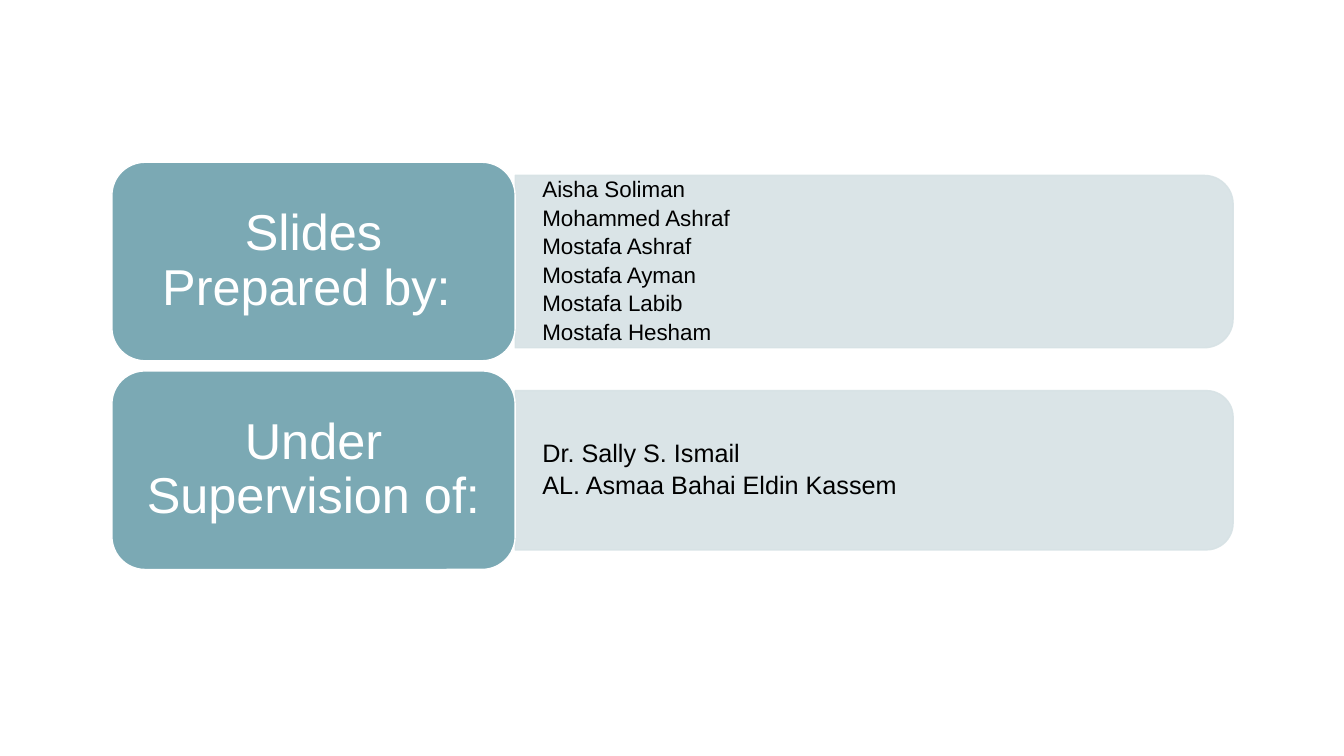
from lxml.etree import SubElement
from pptx import Presentation
from pptx.dml.color import RGBColor
from pptx.enum.shapes import MSO_SHAPE
from pptx.enum.text import MSO_ANCHOR, PP_ALIGN
from pptx.oxml.ns import qn
from pptx.util import Inches, Pt

COLORS = {"label": "7BA9B4", "panel": "D7E2E5", "white": "FFFFFF", "black": "000000"}

LABEL_LEFT, LABEL_TOP, LABEL_WIDTH, LABEL_HEIGHT = 1.11, 1.61, 4, 1.97
ROW_PITCH = 2.07
PANEL_LENGTH = 7.12
TEXT_WIDTH = 7.03

# Label, names, name size, panel height, text height
ROWS = [
    ("Slides Prepared by: ",
     ["Aisha Soliman", "Mohammed Ashraf", "Mostafa Ashraf",
      "Mostafa Ayman", "Mostafa Labib", "Mostafa Hesham"], 16, 1.71, 1.54),
    ("Under Supervision of:",
     ["Dr. Sally S. Ismail", "AL. Asmaa Bahai Eldin Kassem"], 18, 1.58, 1.42),
]


def write_text(shape, lines, size, color, align, margins, space_after=0):
    frame = shape.text_frame
    frame.word_wrap = True
    frame.vertical_anchor = MSO_ANCHOR.MIDDLE
    frame.margin_left = frame.margin_right = Inches(margins[0])
    frame.margin_top = frame.margin_bottom = Inches(margins[1])
    for index, line in enumerate(lines):
        para = frame.paragraphs[0] if index == 0 else frame.add_paragraph()
        para.alignment = align
        para.line_spacing = 0.9
        para.space_after = Pt(space_after)
        span = para.add_run()
        span.text = line
        span.font.name = "Arial"
        span.font.size = Pt(size)
        span.font.color.rgb = RGBColor.from_string(COLORS[color])


def add_block(page, kind, left, top, width, height, fill, line):
    block = page.shapes.add_shape(kind, Inches(left), Inches(top), Inches(width), Inches(height))
    block.shadow.inherit = False
    block.fill.solid()
    block.fill.fore_color.rgb = RGBColor.from_string(COLORS[fill])
    block.line.color.rgb = RGBColor.from_string(COLORS[line])
    block.line.width = Pt(1)
    return block


deck = Presentation()
deck.slide_width, deck.slide_height = Inches(13.33), Inches(7.5)
page = deck.slides.add_slide(deck.slide_layouts[6])

for row, (label, names, size, panel_height, text_height) in enumerate(ROWS):
    top = LABEL_TOP + row * ROW_PITCH
    middle = top + LABEL_HEIGHT / 2
    panel_left = LABEL_LEFT + LABEL_WIDTH

    # Translucent panel, turned so its rounded corners face right
    panel = add_block(page, MSO_SHAPE.ROUND_2_SAME_RECTANGLE,
                      panel_left + (PANEL_LENGTH - panel_height) / 2,
                      middle - PANEL_LENGTH / 2,
                      panel_height, PANEL_LENGTH, "panel", "panel")
    panel.rotation = 90
    for color in panel._element.spPr.iter(qn("a:srgbClr")):
        SubElement(color, qn("a:alpha")).set("val", "90000")

    # Names on the panel
    box = page.shapes.add_textbox(Inches(panel_left), Inches(middle - text_height / 2),
                                  Inches(TEXT_WIDTH), Inches(text_height))
    write_text(box, names, size, "black", PP_ALIGN.LEFT, (0.27, 0.14),
               space_after=round(size * 0.195, 1))

    # Label
    tile = add_block(page, MSO_SHAPE.ROUNDED_RECTANGLE, LABEL_LEFT, top,
                     LABEL_WIDTH, LABEL_HEIGHT, "label", "white")
    write_text(tile, [label], 36, "white", PP_ALIGN.CENTER, (0.15, 0.07))

deck.save("out.pptx")
